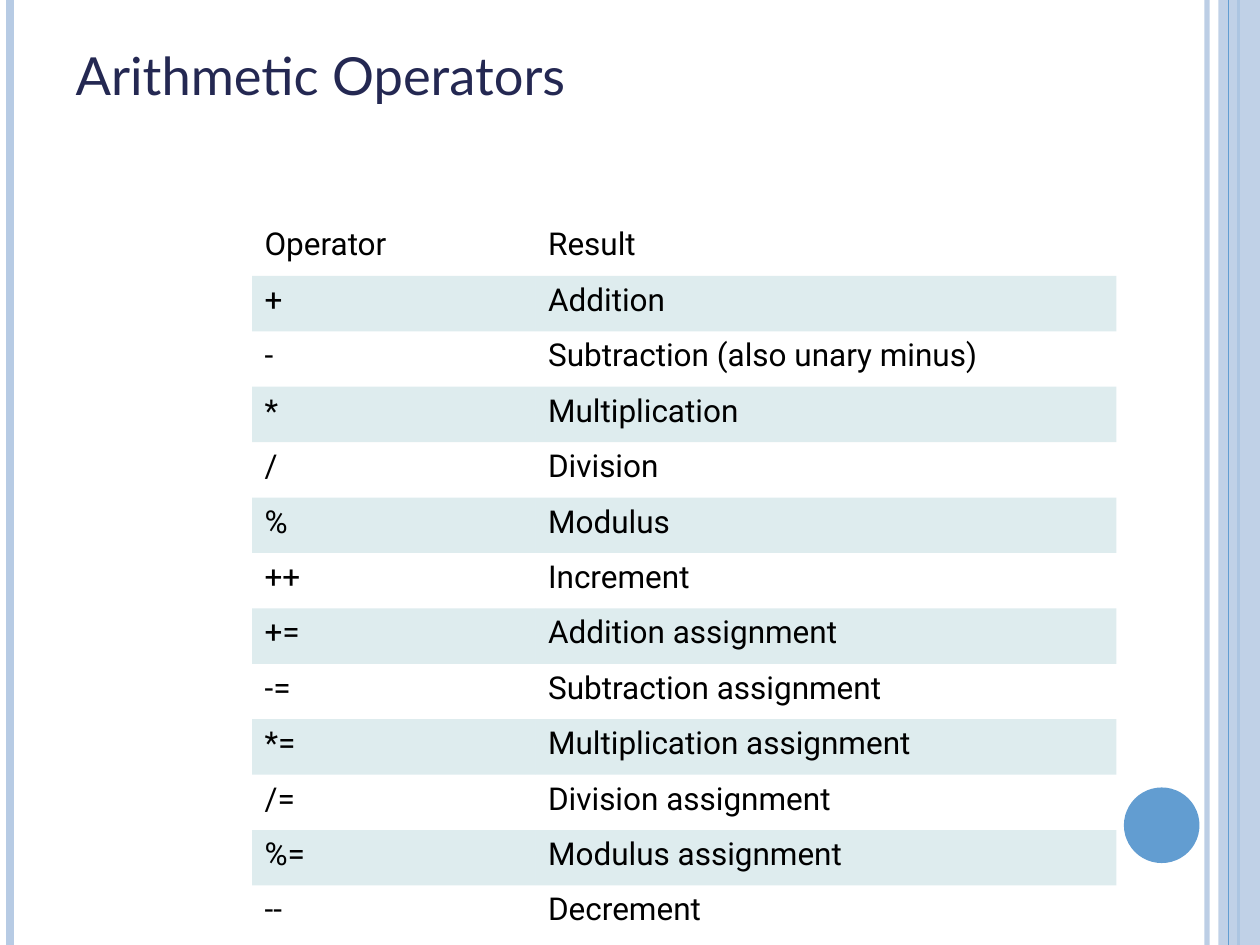
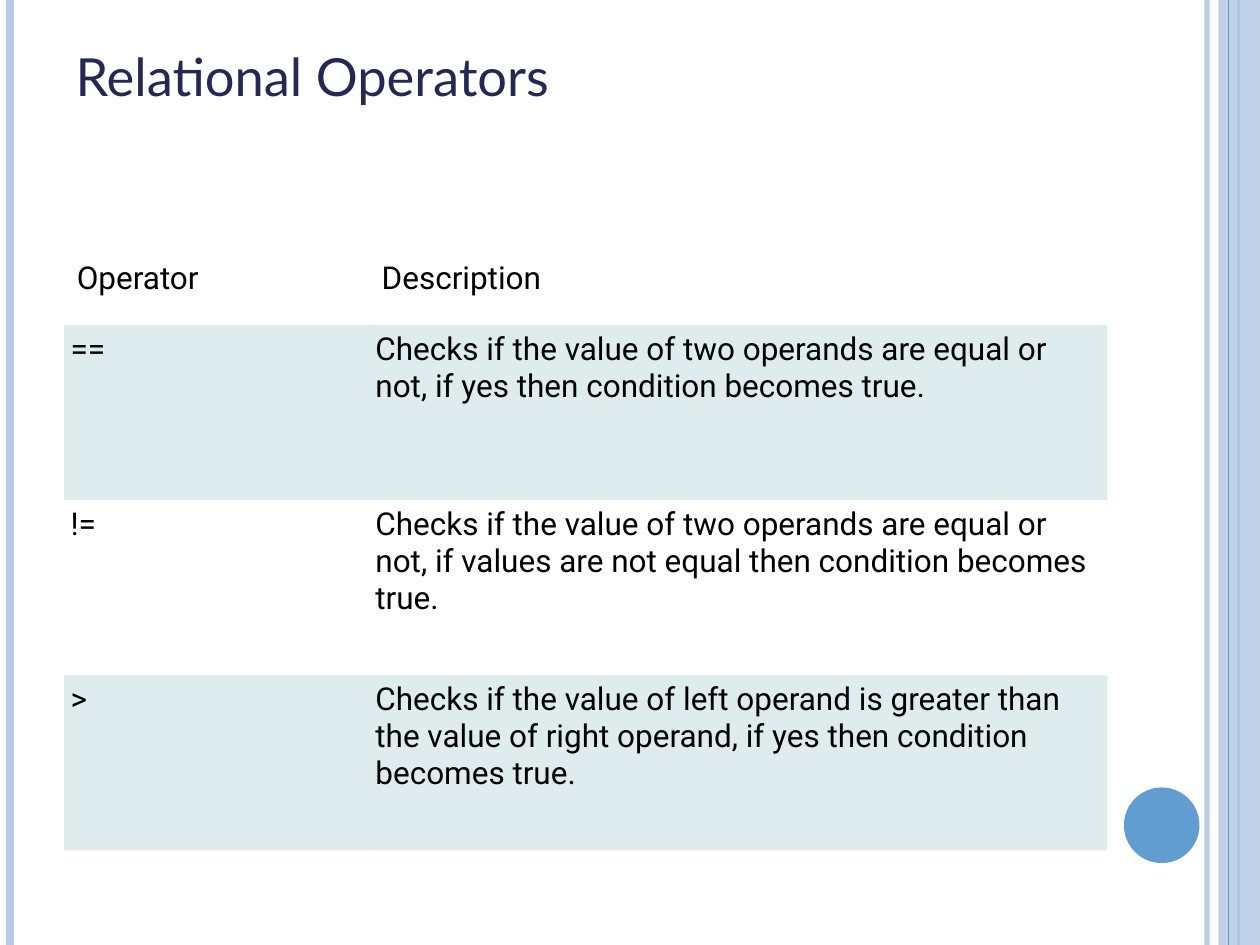
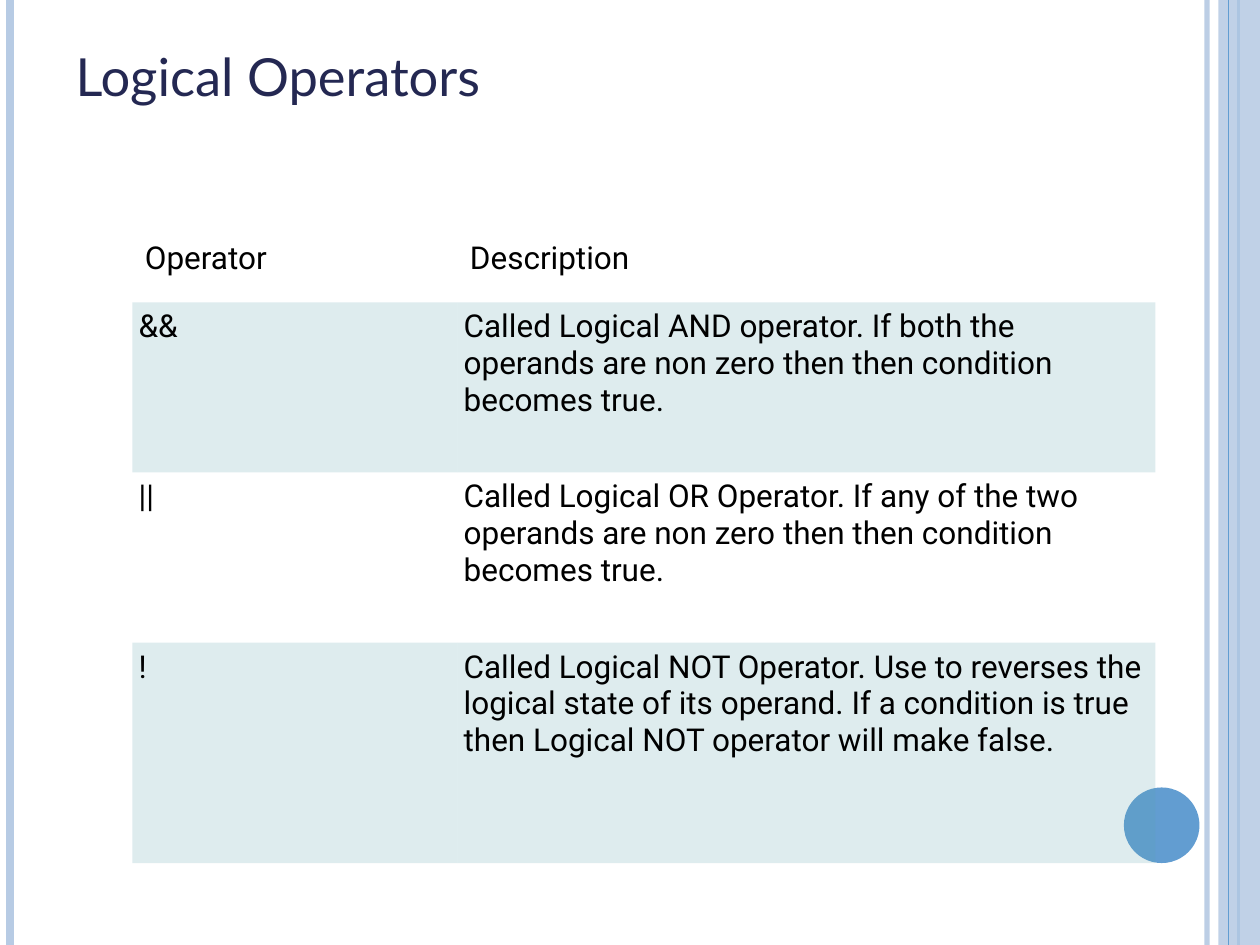
from pptx import Presentation
from pptx.dml.color import RGBColor
from pptx.enum.shapes import MSO_CONNECTOR, MSO_SHAPE
from pptx.enum.text import MSO_ANCHOR, MSO_AUTO_SIZE, PP_ALIGN
from pptx.oxml.ns import qn
from pptx.oxml.xmlchemy import OxmlElement
from pptx.util import Inches, Pt

STRAIGHT = MSO_CONNECTOR.STRAIGHT
RECTANGLE, OVAL = MSO_SHAPE.RECTANGLE, MSO_SHAPE.OVAL
TOP, LEFT, NO_FIT = MSO_ANCHOR.TOP, PP_ALIGN.LEFT, MSO_AUTO_SIZE.NONE

NAVY, BLUE, PALE_BLUE, TEAL, BLACK = "242852", "629DD1", "B7CBE4", "5AA2AE", "000000"
TITLE_FONT, BODY_FONT = "Lato", "Roboto"
PLAIN_TABLE_STYLE = "{2D5ABB26-0587-4C30-8999-92F81FD0307C}"
TITLE_ONLY = 5
WIDTH, HEIGHT = 10, 7.5

ARITHMETIC = [
    ("Operator", "Result"),
    ("+", "Addition"),
    ("-", "Subtraction (also unary minus)"),
    ("*", "Multiplication"),
    ("/", "Division"),
    ("%", "Modulus"),
    ("++", "Increment"),
    ("+=", "Addition assignment"),
    ("-=", "Subtraction assignment"),
    ("*=", "Multiplication assignment"),
    ("/=", "Division assignment"),
    ("%=", "Modulus assignment"),
    ("--", "Decrement"),
]
RELATIONAL = [
    ("Operator", "Description"),
    ("==", "Checks if the value of two operands are equal or not, "
           "if yes then condition becomes true."),
    ("!=", "Checks if the value of two operands are equal or not, "
           "if values are not equal then condition becomes true."),
    (">", "Checks if the value of left operand is greater than the value of "
          "right operand, if yes then condition becomes true."),
]
LOGICAL = [
    ("Operator", "Description"),
    ("&&", "Called Logical AND operator. If both the operands are non zero "
           "then then condition becomes true."),
    ("||", "Called Logical OR Operator. If any of the two operands are non zero "
           "then then condition becomes true."),
    ("!", "Called Logical NOT Operator. Use to reverses the logical state of its "
          "operand. If a condition is true then Logical NOT operator will make false."),
]


def color(hex_string):
    return RGBColor.from_string(hex_string)


def set_opacity(properties, percent):
    """Make the first solid colour inside an XML properties element translucent."""
    alpha = OxmlElement("a:alpha")
    alpha.set("val", str(percent * 1000))
    properties.find(".//" + qn("a:srgbClr")).append(alpha)


def write(frame, text, font=BODY_FONT, size=18, ink=BLACK):
    para = frame.paragraphs[0]
    para.alignment = LEFT
    span = para.add_run()
    span.text = text
    span.font.name = font
    span.font.size = Pt(size)
    span.font.color.rgb = color(ink)


class OperatorDeck:
    def __init__(self):
        self.deck = Presentation()
        self.deck.slide_width = Inches(WIDTH)
        self.deck.slide_height = Inches(HEIGHT)
        self.page = None

    def add_page(self, title, title_top=0.3, title_width=8.17):
        self.page = self.deck.slides.add_slide(self.deck.slide_layouts[TITLE_ONLY])
        self.add_side_bands()
        self.set_title(title, title_top, title_width)

    def add_side_bands(self):
        self.add_rule(9.58, PALE_BLUE, 3, opacity=93)
        self.add_rule(0.08, PALE_BLUE, 4.5)
        self.add_rule(9.83, BLUE, 1.5)
        self.add_shape(RECTANGLE, 9.67, 0, 0.33, HEIGHT, PALE_BLUE, opacity=87)
        self.add_rule(9.75, BLUE, 0.75)
        self.add_shape(OVAL, 8.92, 6.25, 0.6, 0.6, BLUE)

    def add_rule(self, left, ink, weight, opacity=100):
        """Draw a vertical line over the full slide height."""
        rule = self.page.shapes.add_connector(
            STRAIGHT, Inches(left), 0, Inches(left), Inches(HEIGHT))
        rule.line.color.rgb = color(ink)
        rule.line.width = Pt(weight)
        properties = rule._element.spPr
        properties.append(OxmlElement("a:effectLst"))
        if opacity < 100:
            set_opacity(properties, opacity)

    def add_shape(self, kind, left, top, width, height, fill, opacity=100):
        shape = self.page.shapes.add_shape(
            kind, Inches(left), Inches(top), Inches(width), Inches(height))
        shape.shadow.inherit = False
        shape.fill.solid()
        shape.fill.fore_color.rgb = color(fill)
        shape.line.fill.background()
        if opacity < 100:
            set_opacity(shape._element.spPr, opacity)

    def set_title(self, text, top, width):
        title = self.page.shapes.title
        title.left, title.top = Inches(0.5), Inches(top)
        title.width, title.height = Inches(width), Inches(1.25)
        frame = title.text_frame
        frame.word_wrap = True
        frame.auto_size = NO_FIT
        frame.vertical_anchor = TOP
        write(frame, text, font=TITLE_FONT, size=30, ink=NAVY)

    def add_table(self, rows, left, top, widths, heights, body_margin=0.05):
        """Add a table whose every second row is tinted, below a plain header."""
        holder = self.page.shapes.add_table(
            len(rows), len(widths), Inches(left), Inches(top),
            Inches(sum(widths)), Inches(sum(heights)))
        table = holder.table
        table.first_row = table.horz_banding = False
        table._tbl.tblPr.find(qn("a:tableStyleId")).text = PLAIN_TABLE_STYLE
        for column, width in zip(table.columns, widths):
            column.width = Inches(width)
        for index, (row, texts) in enumerate(zip(table.rows, rows)):
            row.height = Inches(heights[index])
            margin = body_margin if index else 0.1
            for cell, text in zip(row.cells, texts):
                self.format_cell(cell, margin, tinted=index % 2 == 1)
                write(cell.text_frame, text)

    def format_cell(self, cell, margin, tinted):
        cell.margin_left = cell.margin_right = Inches(margin)
        cell.margin_top = cell.margin_bottom = Inches(0.05)
        cell.vertical_anchor = TOP
        if tinted:
            cell.fill.solid()
            cell.fill.fore_color.rgb = color(TEAL)
            set_opacity(cell._tc.tcPr, 20)
        else:
            cell.fill.background()


def main():
    operators = OperatorDeck()

    operators.add_page("Arithmetic Operators", title_top=0.29, title_width=9)
    operators.add_table(ARITHMETIC, 2, 1.75, [2.25, 4.61],
                        [0.44] * len(ARITHMETIC), body_margin=0.1)

    operators.add_page("Relational Operators")
    operators.add_table(RELATIONAL, 0.51, 2.02, [2.42, 5.86], [0.56] + [1.39] * 3)

    operators.add_page("Logical Operators")
    operators.add_table(LOGICAL, 1.05, 1.86, [2.58, 5.54], [0.54, 1.35, 1.35, 1.75])

    operators.deck.save("out.pptx")


if __name__ == "__main__":
    main()
